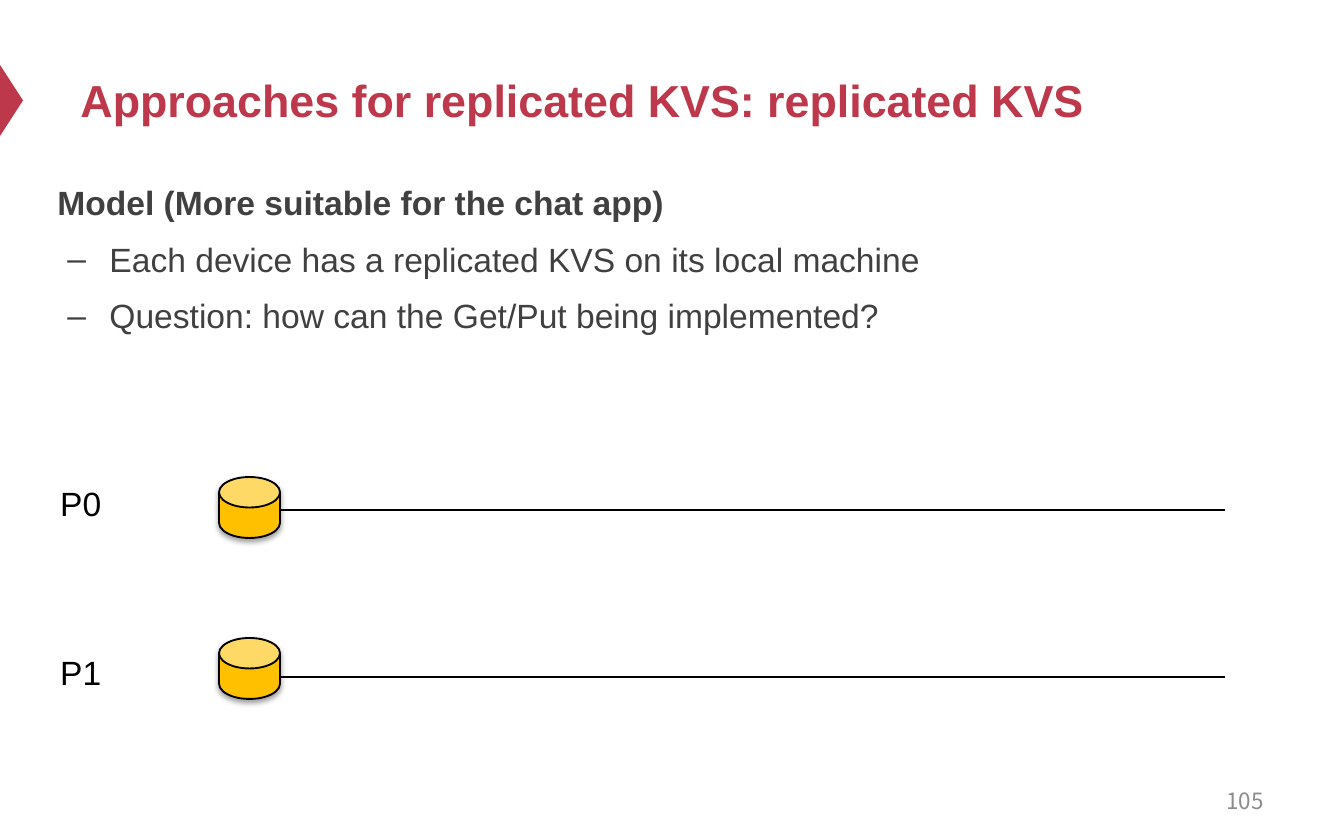
from dataclasses import dataclass

from lxml.etree import SubElement
from pptx import Presentation
from pptx.dml.color import RGBColor
from pptx.enum.shapes import MSO_CONNECTOR as Connector, MSO_SHAPE as Shape
from pptx.enum.text import MSO_ANCHOR as Anchor, MSO_AUTO_SIZE as AutoSize, PP_ALIGN as Align
from pptx.oxml.ns import qn
from pptx.util import Emu, Pt

SLIDE_WIDTH, SLIDE_HEIGHT = 1344, 840
EMU_PER_PX = 9144000 / SLIDE_WIDTH
RED, GREY, PALE_GREY, BLACK, GOLD = "BE384B", "404040", "8C8C8C", "000000", "FFC000"
CAN_SIZE = 61


@dataclass
class Lane:
    name: str
    label_top: int
    line_y: int
    can_top: int


@dataclass
class Line:
    text: str
    bullet: bool = True


LANES = [Lane("P0", 476, 510, 477), Lane("P1", 645, 677, 638)]
BODY = [
    Line("Model (More suitable for the chat app)", bullet=False),
    Line("Each device has a replicated KVS on its local machine"),
    Line("Question: how can the Get/Put being implemented?"),
]


def px(length: int) -> Emu:
    return Emu(round(length * EMU_PER_PX))


def color(hex_code: str) -> RGBColor:
    return RGBColor.from_string(hex_code)


def place(shape, left: int, top: int, width: int, height: int) -> None:
    shape.left, shape.top, shape.width, shape.height = map(px, (left, top, width, height))


def add_span(para, text: str, size: int, hex_code: str, bold=False, font="Arial") -> None:
    span = para.add_run()
    span.text = text
    span.font.size, span.font.bold, span.font.name = Pt(size), bold, font
    span.font.color.rgb = color(hex_code)
    # East Asian face, so that the named font applies to every script
    SubElement(span.font._element, qn("a:ea"), typeface=font)


def add_label(slide, text: str, left: int, top: int, width: int, height: int,
              size: int, hex_code: str, font="Arial"):
    box = slide.shapes.add_textbox(*map(px, (left, top, width, height)))
    box.text_frame.word_wrap = True
    add_span(box.text_frame.paragraphs[0], text, size, hex_code, font=font)
    return box


def add_title(slide, text: str) -> None:
    title = slide.shapes.title
    place(title, 67, 34, 1210, 132)
    frame = title.text_frame
    frame.vertical_anchor, frame.auto_size = Anchor.MIDDLE, AutoSize.NONE
    para = frame.paragraphs[0]
    para.alignment = Align.LEFT
    add_span(para, text, 24, RED, bold=True)


def add_body(slide, lines: list[Line]) -> None:
    body = slide.placeholders[1]
    place(body, 44, 167, 1210, 208)
    frame = body.text_frame
    frame.auto_size = AutoSize.NONE
    for index, line in enumerate(lines):
        para = frame.add_paragraph() if index else frame.paragraphs[0]
        para.level = int(line.bullet)
        para.line_spacing = 1.2
        para.space_before = Pt(4.5 if index else 0)
        props = para._p.get_or_add_pPr()
        props.set("marL", str(px(52 if line.bullet else 0)))
        props.set("indent", str(px(-42 if line.bullet else 0)))
        if line.bullet:
            SubElement(props, qn("a:buFont"), typeface="Arial")
            SubElement(props, qn("a:buChar"), char="–")
        else:
            SubElement(props, qn("a:buNone"))
        add_span(para, line.text, 18, GREY, bold=not line.bullet)


def add_shape(slide, kind, left: int, top: int, width: int, height: int, fill: str):
    shape = slide.shapes.add_shape(kind, *map(px, (left, top, width, height)))
    shape.shadow.inherit = False
    shape.fill.solid()
    shape.fill.fore_color.rgb = color(fill)
    shape.line.fill.background()
    return shape


def add_timeline(slide, y: int) -> None:
    line = slide.shapes.add_connector(Connector.STRAIGHT, px(230), px(y), px(1225), px(y))
    line.line.color.rgb, line.line.width = color(BLACK), Pt(0.75)
    SubElement(line._element.spPr, qn("a:effectLst"))


def add_store(slide, top: int) -> None:
    can = add_shape(slide, Shape.CAN, 219, top, CAN_SIZE, CAN_SIZE, GOLD)
    can.adjustments[0] = 0.5
    can.line.color.rgb, can.line.width = color(BLACK), Pt(1)
    effects = can._element.spPr.find(qn("a:effectLst"))
    shadow = SubElement(effects, qn("a:outerShdw"), blurRad=str(Pt(3.1)),
                        dist=str(Pt(1.6)), dir="5400000", rotWithShape="0")
    tint = SubElement(shadow, qn("a:srgbClr"), val=BLACK)
    SubElement(tint, qn("a:alpha"), val="38000")


def add_page_number(slide, number: str) -> None:
    box = add_label(slide, number, 964, 778, 313, 45, 12, PALE_GREY, "Noto Sans CJK SC")
    box.text_frame.vertical_anchor = Anchor.MIDDLE
    box.text_frame.paragraphs[0].alignment = Align.RIGHT


def main() -> None:
    deck = Presentation()
    deck.slide_width, deck.slide_height = px(SLIDE_WIDTH), px(SLIDE_HEIGHT)
    slide = deck.slides.add_slide(deck.slide_layouts[1])

    marker = add_shape(slide, Shape.ISOSCELES_TRIANGLE, -24, 89, 71, 23, RED)
    marker.rotation = 90
    add_title(slide, "Approaches for replicated KVS: replicated KVS")
    add_body(slide, BODY)
    add_page_number(slide, "105")
    for lane in LANES:
        add_timeline(slide, lane.line_y)
        add_label(slide, lane.name, 47, lane.label_top, 95, 54, 18, BLACK)
        add_store(slide, lane.can_top)
    deck.save("out.pptx")


if __name__ == "__main__":
    main()
